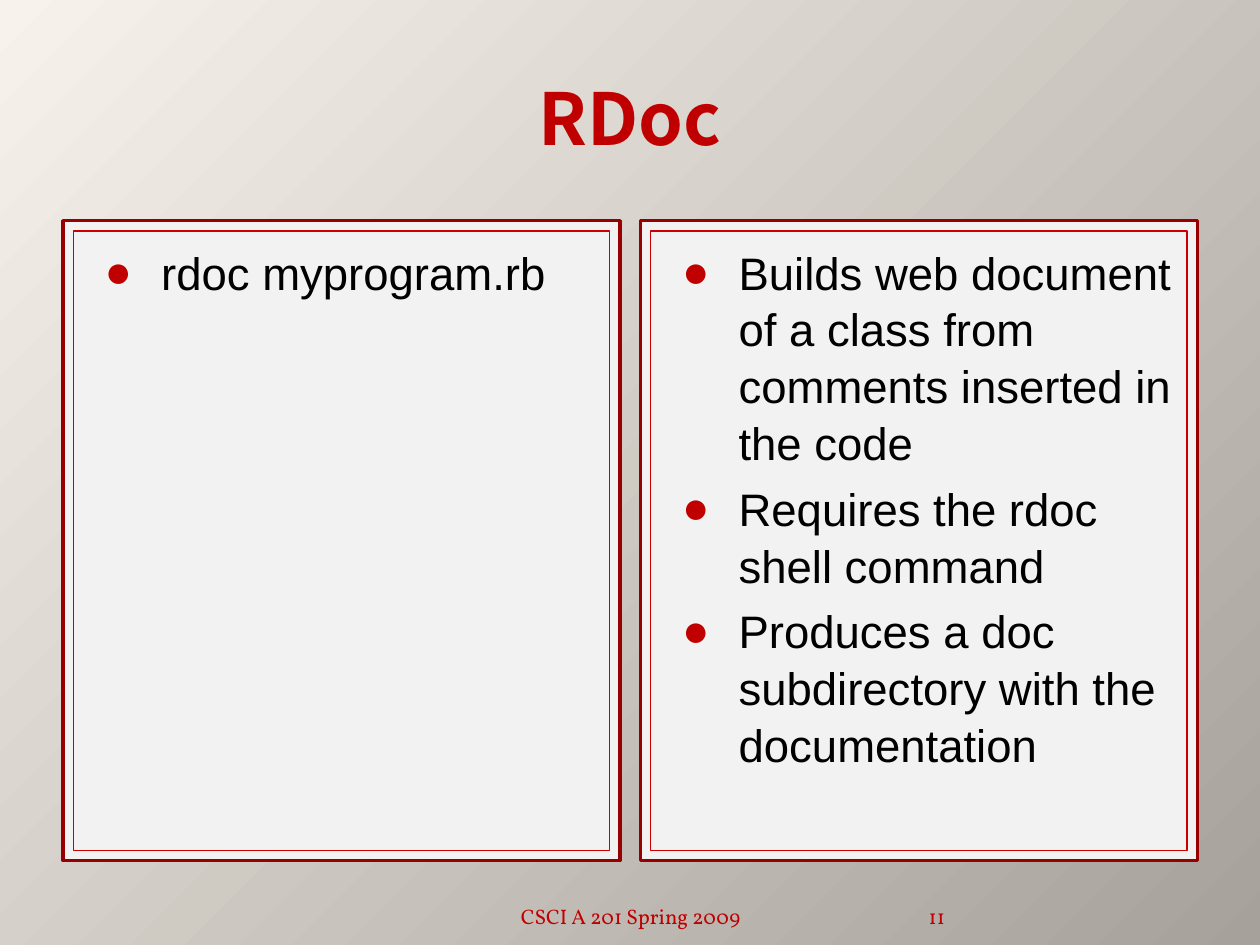
import pptx
import pptx.dml.color
import pptx.enum.shapes
import pptx.enum.text
import pptx.oxml.ns
import pptx.util
from lxml import etree

Cm = pptx.util.Cm
Pt = pptx.util.Pt
Align = pptx.enum.text.PP_ALIGN
Anchor = pptx.enum.text.MSO_ANCHOR

TITLE = "RDoc"
COLUMNS = [
    ["rdoc myprogram.rb"],
    [
        "Builds web document of a class from comments inserted in the code",
        "Requires the rdoc shell command",
        "Produces a doc subdirectory with the documentation",
    ],
]
FOOTERS = [
    ("CSCI A 201 Spring 2009", 8.69, 8.05, Align.CENTER, 0.25),
    ("11", 16.94, 2.11, Align.RIGHT, 0),
]
RED = "C00000"
BACKGROUND = ("F7F3EC", "A6A29B")

MARGIN, PANEL_TOP = 1.27, 4.45
PANEL_WIDTH, PANEL_HEIGHT = 11.23, 12.9
PANEL_STEP = 11.64
INSET = 0.21


def color(value):
    return pptx.dml.color.RGBColor.from_string(value)


def format_text(paragraph, font_name, size, font_color, alignment):
    paragraph.alignment = alignment
    paragraph.font.name = font_name
    paragraph.font.size = Pt(size)
    paragraph.font.color.rgb = color(font_color)


def add_panel(slide, left, top, width, height, line_color, line_width):
    shape = slide.shapes.add_shape(
        pptx.enum.shapes.MSO_SHAPE.RECTANGLE, Cm(left), Cm(top), Cm(width), Cm(height)
    )
    shape.shadow.inherit = False
    shape.fill.solid()
    shape.fill.fore_color.rgb = color("F2F2F2")
    shape.line.color.rgb = color(line_color)
    shape.line.width = Pt(line_width)
    return shape


def add_bullet(paragraph):
    properties = paragraph._p.get_or_add_pPr()
    properties.set("marL", str(Cm(1.52)))
    properties.set("indent", str(-Cm(1.14)))
    qualified = pptx.oxml.ns.qn
    bullet_color = etree.SubElement(properties, qualified("a:buClr"))
    etree.SubElement(bullet_color, qualified("a:srgbClr"), val=RED)
    etree.SubElement(properties, qualified("a:buFont"), typeface="Arial")
    etree.SubElement(properties, qualified("a:buChar"), char="●")


def add_column(slide, left, items):
    add_panel(slide, left, PANEL_TOP, PANEL_WIDTH, PANEL_HEIGHT, "970000", 2)
    shape = add_panel(
        slide, left + INSET, PANEL_TOP + INSET,
        PANEL_WIDTH - 2 * INSET, PANEL_HEIGHT - 2 * INSET, "CC0000", 0.75,
    )
    frame = shape.text_frame
    frame.word_wrap = True
    frame.vertical_anchor = Anchor.TOP
    frame.margin_top = Cm(0.23)
    for index, item in enumerate(items):
        paragraph = frame.paragraphs[0] if index == 0 else frame.add_paragraph()
        paragraph.text = item
        add_bullet(paragraph)
        format_text(paragraph, "Arial", 26, "000000", Align.LEFT)
        paragraph.line_spacing = 1.04
        if index:
            paragraph.space_before = Pt(5.2)


def add_footer(slide, text, left, width, alignment, side_margin):
    box = slide.shapes.add_textbox(Cm(left), Cm(17.83), Cm(width), Cm(1.02))
    frame = box.text_frame
    frame.word_wrap = True
    frame.vertical_anchor = Anchor.BOTTOM
    frame.margin_left = frame.margin_right = Cm(side_margin)
    frame.text = text
    format_text(frame.paragraphs[0], "Vollkorn", 12, RED, alignment)


def set_title(slide):
    title = slide.shapes.title
    title.left, title.top = Cm(MARGIN), Cm(0.76)
    title.width, title.height = Cm(22.86), Cm(3.18)
    frame = title.text_frame
    frame.auto_size = pptx.enum.text.MSO_AUTO_SIZE.NONE
    frame.vertical_anchor = Anchor.MIDDLE
    frame.text = TITLE
    format_text(frame.paragraphs[0], "Noto Sans CJK SC", 41, RED, Align.CENTER)
    frame.paragraphs[0].font.bold = True


def main():
    presentation = pptx.Presentation()
    presentation.slide_width = Cm(25.4)
    presentation.slide_height = Cm(19.05)
    slide = presentation.slides.add_slide(presentation.slide_layouts[5])

    fill = slide.background.fill
    fill.gradient()
    fill.gradient_angle = 315
    for stop, value in zip(fill.gradient_stops, BACKGROUND):
        stop.color.rgb = color(value)

    set_title(slide)
    for index, items in enumerate(COLUMNS):
        add_column(slide, MARGIN + index * PANEL_STEP, items)
    for footer in FOOTERS:
        add_footer(slide, *footer)
    presentation.save("out.pptx")


if __name__ == "__main__":
    main()
